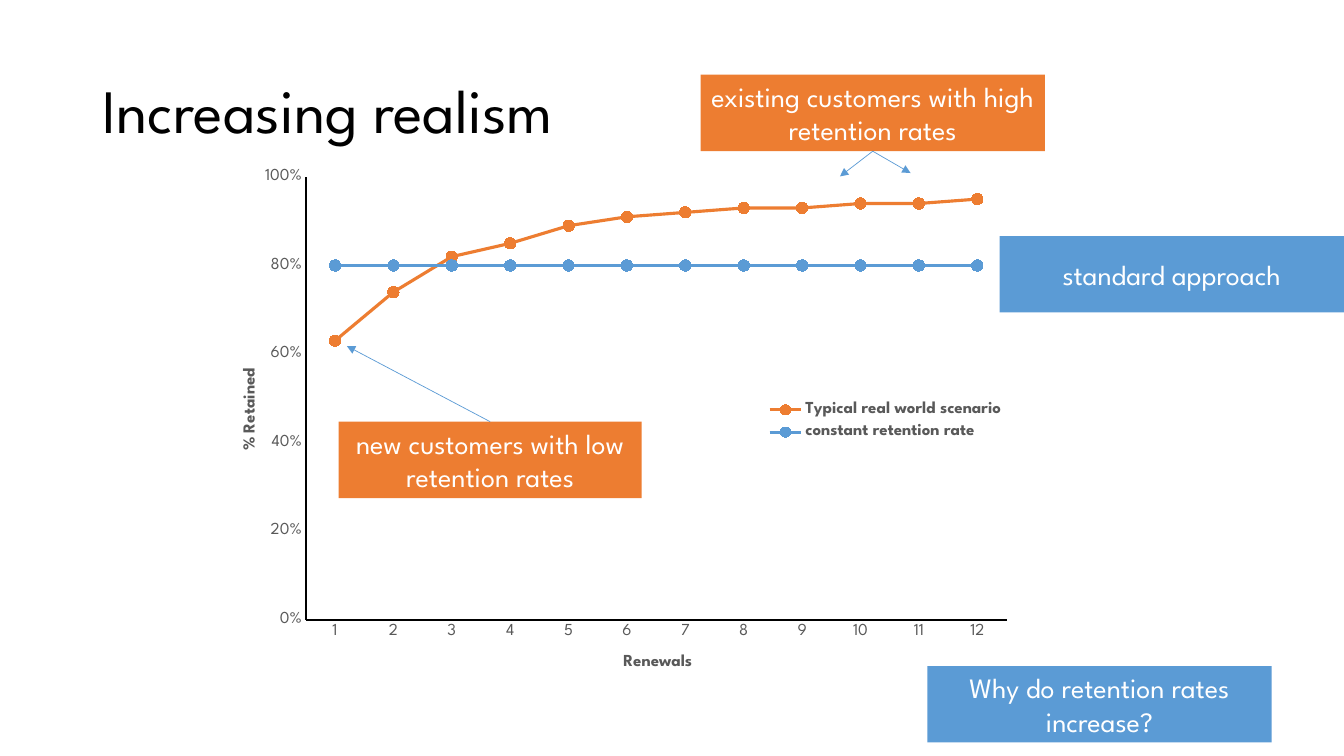
from pptx import Presentation
from pptx.chart.data import CategoryChartData
from pptx.dml.color import RGBColor
from pptx.enum.chart import XL_CHART_TYPE as CHART, XL_LEGEND_POSITION as LEGEND
from pptx.enum.chart import XL_MARKER_STYLE as MARKER, XL_TICK_MARK as TICK
from pptx.enum.shapes import MSO_CONNECTOR as CONNECTOR, MSO_SHAPE as SHAPE
from pptx.enum.text import MSO_ANCHOR as ANCHOR, PP_ALIGN as ALIGN
from pptx.oxml.ns import qn
from pptx.util import Inches, Pt
from lxml.etree import SubElement

FONT = "League Spartan"
ORANGE, BLUE, GREY, BLACK, WHITE = "ED7D31", "5B9BD5", "595959", "000000", "FFFFFF"
COLUMNS_PER_INCH = 12
SERIES = [
    ("Typical real world scenario", ORANGE,
     [.63, .74, .82, .85, .89, .91, .92, .93, .93, .94, .94, .95]),
    ("constant retention rate", BLUE, [.8] * 12),
]


def grid(*units):
    """Convert grid columns or rows to slide lengths."""
    return [Inches(u / COLUMNS_PER_INCH) for u in units]


def rgb(color):
    """Turn a hex string into a colour."""
    return RGBColor.from_string(color)


def style_font(font, size, color, bold=False):
    """Format a font in the slide's typeface."""
    font.name, font.size, font.bold = FONT, Pt(size), bold
    font.color.rgb = rgb(color)


def style_line(line, color, width):
    """Give a line its colour and width."""
    line.color.rgb = rgb(color)
    line.width = Pt(width)


def write(tf, text, size=20, color=WHITE, bold=False, align=None, spacing=None):
    """Write one formatted paragraph into a text frame."""
    p = tf.paragraphs[0]
    if align is not None:
        p.alignment = align
    if spacing is not None:
        p.line_spacing = spacing
    r = p.add_run()
    r.text = text
    style_font(r.font, size, color, bold)


def add_title(s, text, box):
    """Place and fill the title placeholder."""
    sp = s.shapes.title
    sp.left, sp.top, sp.width, sp.height = grid(*box)
    sp.text_frame.vertical_anchor = ANCHOR.MIDDLE
    write(sp.text_frame, text, size=44, color=BLACK, align=ALIGN.LEFT, spacing=.9)


def add_callout(s, text, color, box):
    """Add a filled rectangle with centred text."""
    sp = s.shapes.add_shape(SHAPE.RECTANGLE, *grid(*box))
    sp.shadow.inherit = False
    sp.fill.solid()
    sp.fill.fore_color.rgb = rgb(color)
    sp.line.fill.background()
    sp.text_frame.word_wrap = True
    sp.text_frame.vertical_anchor = ANCHOR.MIDDLE
    write(sp.text_frame, text, align=ALIGN.CENTER)
    return sp


def add_arrow(s, callout, side, tip):
    """Draw an arrow from the middle of a callout's side to a point."""
    arrow = s.shapes.add_connector(CONNECTOR.STRAIGHT, 0, 0, *grid(*tip))
    arrow.begin_connect(callout, side)
    style_line(arrow.line, BLUE, .5)
    SubElement(arrow.line._get_or_add_ln(), qn("a:tailEnd"), type="triangle")
    SubElement(arrow._element.spPr, qn("a:effectLst"))


def set_layout(element, index, **shares):
    """Position a chart part by shares of the chart's size."""
    for old in element.findall(qn("c:layout")):
        element.remove(old)
    layout = SubElement(element, qn("c:layout"))
    element.insert(index, layout)
    manual = SubElement(layout, qn("c:manualLayout"))
    if index == 0:
        SubElement(manual, qn("c:layoutTarget"), val="inner")
    for key in "xy":
        SubElement(manual, qn(f"c:{key}Mode"), val="edge")
    for key, share in shares.items():
        SubElement(manual, qn(f"c:{key}"), val=str(share))


def style_axis(axis, title, width, x, y):
    """Format an axis and place its title."""
    axis.has_major_gridlines = False
    axis.major_tick_mark = axis.minor_tick_mark = TICK.NONE
    style_font(axis.tick_labels.font, 12, GREY)
    style_line(axis.format.line, BLACK, width)
    write(axis.axis_title.text_frame, title, size=12, color=GREY, bold=True)
    set_layout(axis.axis_title._element, 1, x=x, y=y)


def style_series(series, color):
    """Format a line series and its round markers."""
    series.smooth = False
    style_line(series.format.line, color, 2.25)
    marker = series.marker
    marker.style, marker.size = MARKER.CIRCLE, 8
    marker.format.fill.solid()
    marker.format.fill.fore_color.rgb = rgb(color)
    marker.format.line.color.rgb = rgb(color)


def add_retention_chart(s, box):
    """Add the line chart of retention by renewal."""
    data = CategoryChartData(number_format="0%")
    data.categories = [str(n) for n in range(1, 13)]
    for name, _, values in SERIES:
        data.add_series(name, values)
    chart = s.shapes.add_chart(CHART.LINE_MARKERS, *grid(*box), data).chart
    chart.has_title = False
    style_font(chart.font, 12, GREY)
    chart.plots[0].vary_by_categories = False
    for series, (_, color, _) in zip(chart.plots[0].series, SERIES):
        style_series(series, color)

    style_axis(chart.category_axis, "Renewals", 1.5, x=.5, y=.95)
    axis = chart.value_axis
    style_axis(axis, "% Retained", 1, x=.01, y=.39)
    axis.minimum_scale, axis.maximum_scale, axis.major_unit = 0, 1, .2
    axis.tick_labels.number_format = "0%"
    axis.tick_labels.number_format_is_linked = False

    chart.has_legend = True
    legend = chart.legend
    legend.position = LEGEND.RIGHT
    legend.include_in_layout = False
    style_font(legend.font, 12, GREY, bold=True)
    set_layout(legend._element, 1, x=.68, y=.45, w=.32, h=.1)
    plot_area = chart._chartSpace.find(f".//{qn('c:plotArea')}")
    set_layout(plot_area, 0, x=.097, y=.021, w=.898, h=.869)


def main():
    """Build and save the slide."""
    prs = Presentation()
    prs.slide_width, prs.slide_height = grid(160, 90)
    s = prs.slides.add_slide(prs.slide_layouts[5])
    add_title(s, "Increasing realism", (11, 4.8, 138, 17.4))
    add_retention_chart(s, (27.4, 19.8, 92.9, 60.7))
    new = add_callout(s, "new customers with low retention rates", ORANGE,
                      (40.3, 50.2, 36.1, 9.1))
    existing = add_callout(s, "existing customers with high retention rates", ORANGE,
                           (83.4, 8.9, 41, 9.1))
    add_callout(s, "standard approach", BLUE, (119, 28.1, 41, 9.1))
    add_arrow(s, new, 0, (41.3, 41.2))
    for tip in ((100, 21), (108.4, 20.6)):
        add_arrow(s, existing, 2, tip)
    add_callout(s, "Why do retention rates increase?", BLUE, (110.4, 79.3, 41, 9.1))
    prs.save("out.pptx")


if __name__ == "__main__":
    main()
